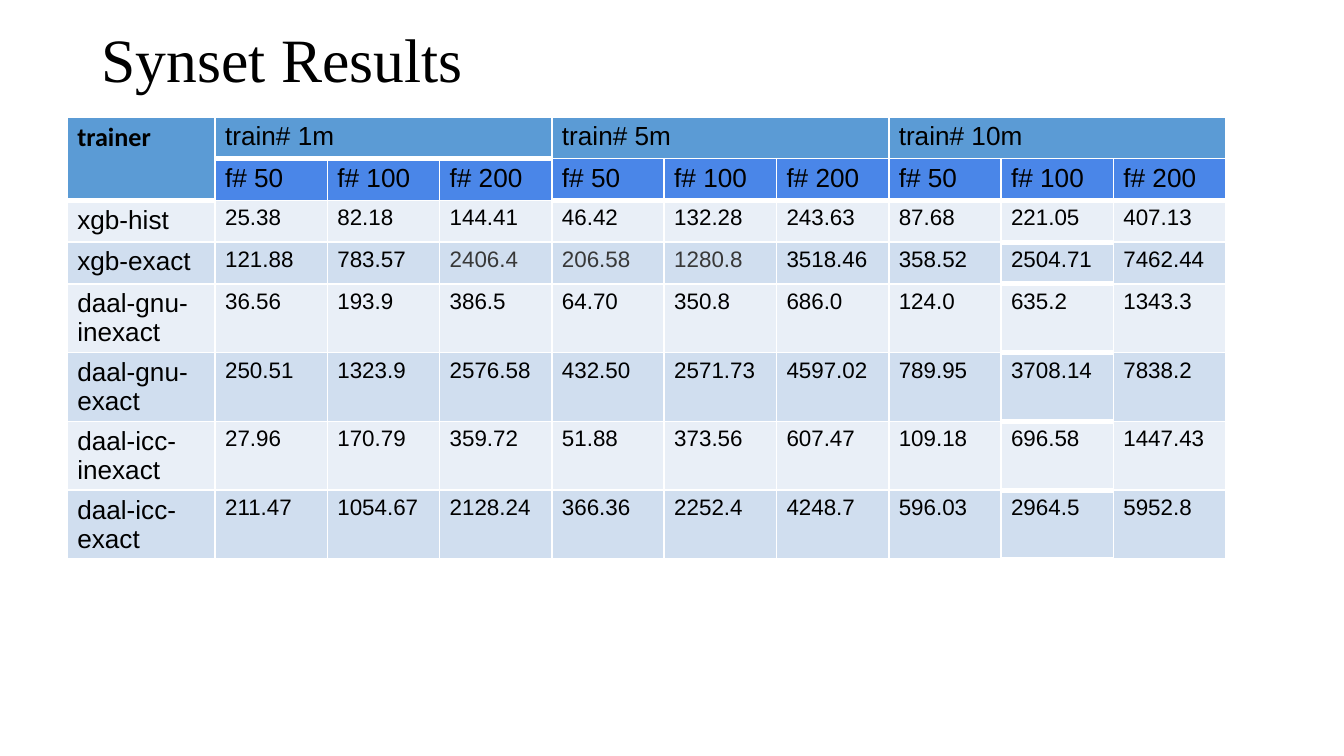
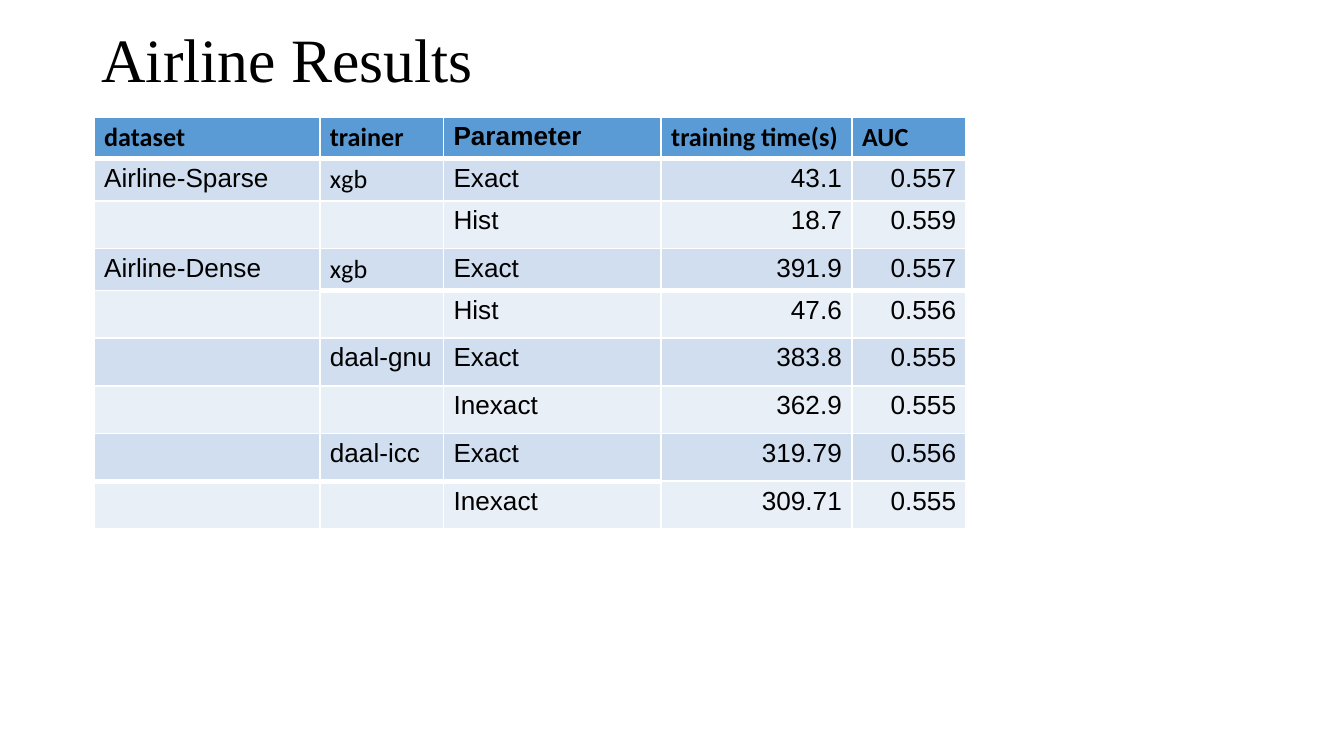
from lxml import etree
from pptx import Presentation
from pptx import util as u
from pptx.dml.color import RGBColor
from pptx.enum import text
from pptx.oxml import ns

BLACK = RGBColor(0x00, 0x00, 0x00)
GRAY = RGBColor(0x38, 0x38, 0x38)
HEADER_BLUE = RGBColor(0x5B, 0x9B, 0xD5)
FEATURE_BLUE = RGBColor(0x4A, 0x86, 0xE8)
PALE_BLUE = RGBColor(0xE9, 0xEF, 0xF7)
LIGHT_BLUE = RGBColor(0xD0, 0xDE, 0xEF)
BORDER = "FFFFFF"
MARGIN = u.Inches(0.3) // 4
CALIBRI_TEXTS = {"dataset", "trainer", "training time(s)", "AUC", "xgb"}
BOLD_TEXTS = {"dataset", "trainer", "Parameter", "training time(s)", "AUC"}

SYNSET_HEADER = [
    ["trainer", "train# 1m", "", "", "train# 5m", "", "", "train# 10m", "", ""],
    [""] + ["f# 50", "f# 100", "f# 200"] * 3,
]
SYNSET_RESULTS = [
    ["xgb-hist", "25.38", "82.18", "144.41", "46.42", "132.28", "243.63", "87.68", "221.05", "407.13"],
    ["xgb-exact", "121.88", "783.57", "2406.4", "206.58", "1280.8", "3518.46", "358.52", "2504.71", "7462.44"],
    ["daal-gnu-inexact", "36.56", "193.9", "386.5", "64.70", "350.8", "686.0", "124.0", "635.2", "1343.3"],
    ["daal-gnu-exact", "250.51", "1323.9", "2576.58", "432.50", "2571.73", "4597.02", "789.95", "3708.14", "7838.2"],
    ["daal-icc-inexact", "27.96", "170.79", "359.72", "51.88", "373.56", "607.47", "109.18", "696.58", "1447.43"],
    ["daal-icc-exact", "211.47", "1054.67", "2128.24", "366.36", "2252.4", "4248.7", "596.03", "2964.5", "5952.8"],
]
AIRLINE_ROWS = [
    ["dataset", "trainer", "Parameter", "training time(s)", "AUC"],
    ["Airline-Sparse", "xgb", "Exact", "43.1", "0.557"],
    ["", "", "Hist", "18.7", "0.559"],
    ["Airline-Dense", "xgb", "Exact", "391.9", "0.557"],
    ["", "", "Hist", "47.6", "0.556"],
    ["", "daal-gnu", "Exact", "383.8", "0.555"],
    ["", "", "Inexact", "362.9", "0.555"],
    ["", "daal-icc", "Exact", "319.79", "0.556"],
    ["", "", "Inexact", "309.71", "0.555"],
]


class ResultsDeck:
    """Holds the shared style and the slide being built."""

    def __init__(self):
        self.presentation = Presentation()
        self.presentation.slide_width = u.Inches(10)
        self.presentation.slide_height = u.Inches(10) * 9 // 16
        self.slide = None

    def add_slide(self, title):
        self.slide = self.presentation.slides.add_slide(self.presentation.slide_layouts[5])
        shape = self.slide.shapes.title
        shape.left, shape.top = u.Inches(0.68), u.Inches(0.13)
        shape.width, shape.height = u.Inches(8.62), u.Inches(0.67)
        frame = shape.text_frame
        frame.text = title
        frame.word_wrap = True
        frame.auto_size = text.MSO_AUTO_SIZE.NONE
        frame.vertical_anchor = text.MSO_ANCHOR.MIDDLE
        frame.margin_left = frame.margin_right = MARGIN
        frame.margin_top = frame.margin_bottom = MARGIN // 2
        paragraph = frame.paragraphs[0]
        paragraph.alignment = text.PP_ALIGN.LEFT
        paragraph.line_spacing = 0.9
        self.style_run(paragraph.runs[0], "Times New Roman", 33, BLACK, False)

    def style_run(self, run, font_name, size, color, bold):
        run.font.name = font_name
        run.font.size = u.Pt(size)
        run.font.color.rgb = color
        run.font.bold = bold

    def add_table(self, rows, left, widths, merges=()):
        height = u.Inches(0.31)
        frame = self.slide.shapes.add_table(
            len(rows), len(widths), u.Inches(left), u.Inches(0.87),
            u.Inches(sum(widths)), height * len(rows))
        table = frame.table
        table.first_row = table.horz_banding = False
        for column, width in zip(table.columns, widths):
            column.width = u.Inches(width)
        for row in table.rows:
            row.height = height
        for first, last in merges:
            table.cell(*first).merge(table.cell(*last))
        return table

    def fill_cell(self, cell, value, fill, size=14, color=BLACK, align=text.PP_ALIGN.LEFT):
        cell.margin_left = cell.margin_right = MARGIN
        cell.margin_top = cell.margin_bottom = MARGIN // 2
        cell.fill.solid()
        cell.fill.fore_color.rgb = fill
        paragraph = cell.text_frame.paragraphs[0]
        if value:
            paragraph.text = value
            paragraph.alignment = align
            font_name = "Calibri" if value in CALIBRI_TEXTS else "Arial"
            self.style_run(paragraph.runs[0], font_name, size, color, value in BOLD_TEXTS)
        else:
            blank_size = "1400" if cell.is_spanned else "1800"
            end = etree.SubElement(paragraph._p, ns.qn("a:endParaRPr"), sz=blank_size)
            etree.SubElement(end, ns.qn("a:latin"), typeface="Arial")

    def border_cell(self, cell, heavy_top, heavy_bottom):
        properties = cell._tc.get_or_add_tcPr()
        sides = {"L": False, "R": False, "T": heavy_top, "B": heavy_bottom}
        for side, heavy in sides.items():
            line = etree.SubElement(properties, ns.qn(f"a:ln{side}"), w=str(u.Pt(3 if heavy else 1)))
            solid = etree.SubElement(line, ns.qn("a:solidFill"))
            etree.SubElement(solid, ns.qn("a:srgbClr"), val=BORDER)

    def border_table(self, table, heavy):
        for row in range(len(table.rows)):
            for column in range(len(table.columns)):
                self.border_cell(table.cell(row, column), (row - 1, column) in heavy, (row, column) in heavy)


def build_synset(deck):
    deck.add_slide("Synset Results")
    rows = SYNSET_HEADER + SYNSET_RESULTS
    merges = [((0, 0), (1, 0))] + [((0, start), (0, start + 2)) for start in (1, 4, 7)]
    table = deck.add_table(rows, 0.5, [1.1] + [7.52 / 9] * 9, merges)
    heavy = {(0, column) for column in range(4)} | {(1, 0)}
    heavy |= {(1, column) for column in range(4, 10)} | {(row, 8) for row in range(2, 8)}
    deck.border_table(table, heavy)
    for row, values in enumerate(rows):
        for column, value in enumerate(values):
            if row < 2:
                fill = FEATURE_BLUE if row and column else HEADER_BLUE
            else:
                fill = LIGHT_BLUE if row % 2 else PALE_BLUE
            size = 12 if row > 1 and column else 14
            color = GRAY if row == 3 and column in (3, 4, 5) else BLACK
            deck.fill_cell(table.cell(row, column), value, fill, size, color)


def build_airline(deck):
    deck.add_slide("Airline Results")
    table = deck.add_table(AIRLINE_ROWS, 0.7, [1.68, 0.92, 1.62, 1.42, 0.85])
    heavy = {(0, column) for column in range(5)}
    heavy |= {(3, column) for column in range(1, 5)} | {(7, column) for column in range(3)}
    deck.border_table(table, heavy)
    for row, values in enumerate(AIRLINE_ROWS):
        band = LIGHT_BLUE if row % 2 else PALE_BLUE
        for column, value in enumerate(values):
            align = text.PP_ALIGN.RIGHT if row and column > 2 else text.PP_ALIGN.LEFT
            deck.fill_cell(table.cell(row, column), value, band if row else HEADER_BLUE, align=align)


def main():
    deck = ResultsDeck()
    build_synset(deck)
    build_airline(deck)
    deck.presentation.save("out.pptx")


if __name__ == "__main__":
    main()
